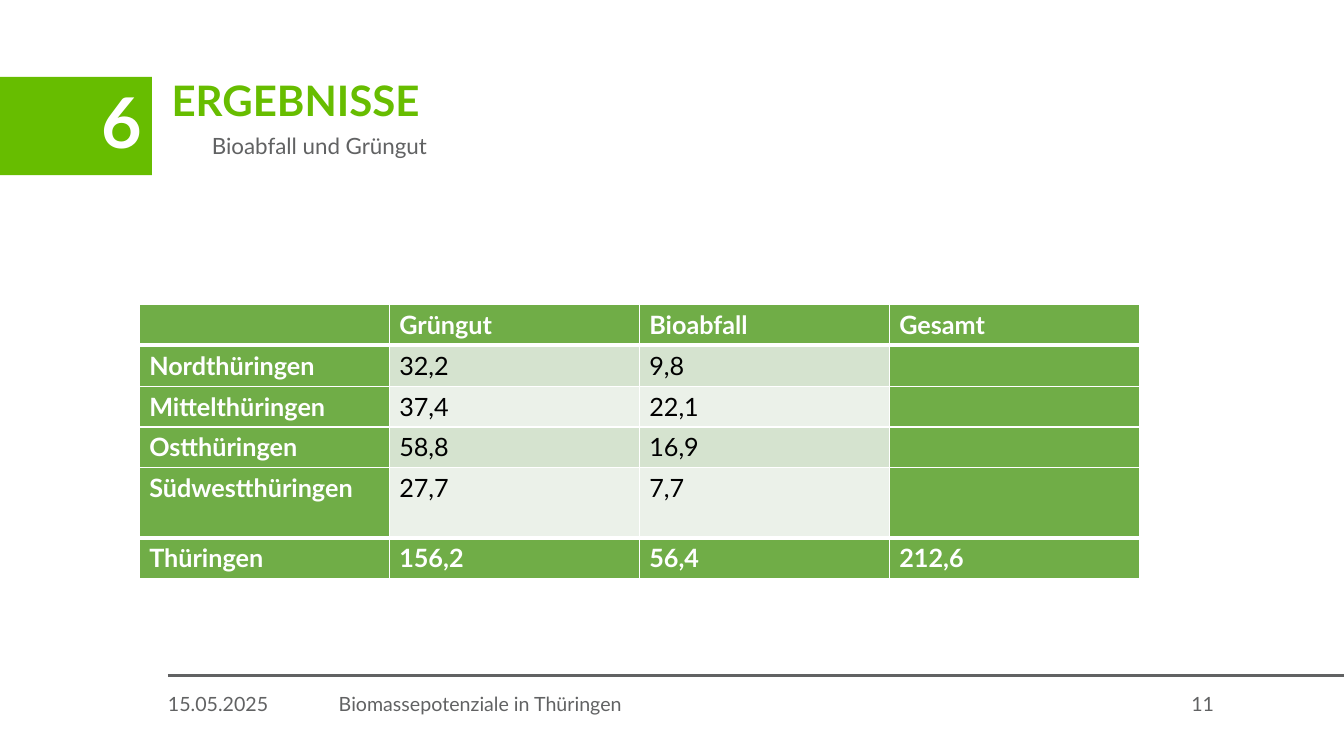
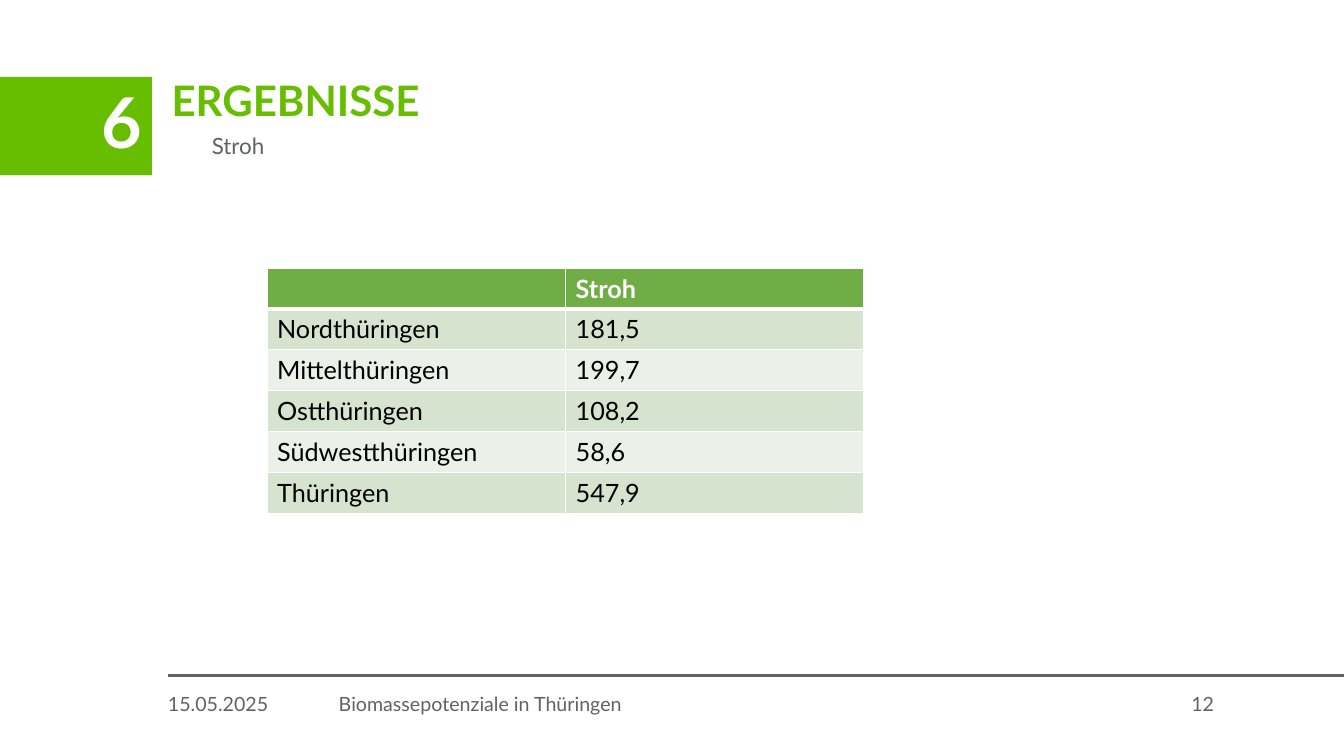
from dataclasses import dataclass

from lxml.etree import SubElement
from pptx import Presentation
from pptx.dml.color import RGBColor
from pptx.enum.shapes import MSO_CONNECTOR, MSO_SHAPE
from pptx.enum.text import MSO_ANCHOR, MSO_AUTO_SIZE, PP_ALIGN
from pptx.oxml.ns import qn
from pptx.slide import Slide
from pptx.table import _Cell
from pptx.text.text import TextFrame
from pptx.util import Pt


@dataclass(frozen=True)
class TextStyle:
    size: float
    color: str
    bold: bool = False


@dataclass(frozen=True)
class Theme:
    font: str = "Lato"
    accent: str = "67BD00"
    gray: str = "616263"
    white: str = "FFFFFF"
    table_green: str = "70AD47"
    bands: tuple[str, str] = ("D5E3CF", "EBF1E9")
    number: TextStyle = TextStyle(50, "FFFFFF", True)
    title: TextStyle = TextStyle(30, "67BD00", True)
    subtitle: TextStyle = TextStyle(16, "616263")
    footer: TextStyle = TextStyle(14, "616263")
    table_head: TextStyle = TextStyle(18, "FFFFFF", True)
    table_body: TextStyle = TextStyle(18, "000000")


@dataclass(frozen=True)
class Box:
    left: float
    top: float
    width: float
    height: float


@dataclass(frozen=True)
class TableSpec:
    left: float
    top: float
    column_width: float
    rows: list[list[str]]
    row_heights: list[float]
    first_column: bool = False
    last_column: bool = False
    total_row: bool = False


@dataclass(frozen=True)
class ResultPage:
    subtitle: str
    number: int
    table: TableSpec


THEME = Theme()
SLIDE_WIDTH, SLIDE_HEIGHT = 960, 540
CHAPTER, TITLE = "6", "ERGEBNISSE"
DATE, FOOTER = "15.05.2025", "Biomassepotenziale in Thüringen"

# Shared places
NUMBER_BOX = Box(0, 54.9, 108.6, 70.3)
TITLE_BOX = Box(122.6, 57.6, 717.6, 38.2)
SUBTITLE_BOX = Box(151.4, 96.3, 689, 29.5)
FOOTER_LEFT, FOOTER_TOP, FOOTER_HEIGHT = 120, 493.9, 28.8
RULE_TOP = 482.4
ROW_HEIGHT = 29.2
THIN, THICK = 1, 3

PAGES = [
    ResultPage("Bioabfall und Grüngut", 11, TableSpec(
        99.4, 217.4, 178.6,
        [
            ["", "Grüngut", "Bioabfall", "Gesamt"],
            ["Nordthüringen", "32,2", "9,8", ""],
            ["Mittelthüringen", "37,4", "22,1", ""],
            ["Ostthüringen", "58,8", "16,9", ""],
            ["Südwestthüringen", "27,7", "7,7", ""],
            ["Thüringen", "156,2", "56,4", "212,6"],
        ],
        [ROW_HEIGHT] * 4 + [50, ROW_HEIGHT],
        first_column=True, last_column=True, total_row=True,
    )),
    ResultPage("Stroh", 12, TableSpec(
        190.8, 191.5, 213.2,
        [
            ["", "Stroh"],
            ["Nordthüringen", "181,5"],
            ["Mittelthüringen", "199,7"],
            ["Ostthüringen", "108,2"],
            ["Südwestthüringen", "58,6"],
            ["Thüringen", "547,9"],
        ],
        [ROW_HEIGHT] * 6,
    )),
]


def place(box: Box) -> tuple[Pt, Pt, Pt, Pt]:
    return Pt(box.left), Pt(box.top), Pt(box.width), Pt(box.height)


def write(frame: TextFrame, text: str, style: TextStyle, line_spacing: float = 1.0,
          align: PP_ALIGN = PP_ALIGN.LEFT) -> None:
    para = frame.paragraphs[0]
    para_format = {"alignment": align, "line_spacing": line_spacing, "space_before": Pt(0)}
    for name, value in para_format.items():
        setattr(para, name, value)
    span = para.add_run()
    span.text = text
    span_format = {"name": THEME.font, "size": Pt(style.size), "bold": style.bold}
    for name, value in span_format.items():
        setattr(span.font, name, value)
    span.font.color.rgb = RGBColor.from_string(style.color)


def clear_frame(frame: TextFrame) -> None:
    frame_format = {
        "margin_left": 0, "margin_top": 0, "margin_right": 0, "margin_bottom": 0,
        "word_wrap": True, "auto_size": MSO_AUTO_SIZE.NONE, "vertical_anchor": MSO_ANCHOR.TOP,
    }
    for name, value in frame_format.items():
        setattr(frame, name, value)


def add_text(page: Slide, box: Box, text: str, style: TextStyle,
             line_spacing: float = 1.0) -> None:
    frame = page.shapes.add_textbox(*place(box)).text_frame
    clear_frame(frame)
    write(frame, text, style, line_spacing)


def add_header(page: Slide, subtitle: str) -> None:
    # Chapter number
    block = page.shapes.add_shape(MSO_SHAPE.RECTANGLE, *place(NUMBER_BOX))
    block.shadow.inherit = False
    block.fill.solid()
    block.fill.fore_color.rgb = RGBColor.from_string(THEME.accent)
    block.line.fill.background()
    block.text_frame.vertical_anchor = MSO_ANCHOR.MIDDLE
    write(block.text_frame, CHAPTER, THEME.number, 0.9, PP_ALIGN.RIGHT)

    # Title and subtitle
    title = page.shapes.title
    title.left, title.top, title.width, title.height = place(TITLE_BOX)
    clear_frame(title.text_frame)
    write(title.text_frame, TITLE, THEME.title, 0.9)
    add_text(page, SUBTITLE_BOX, subtitle, THEME.subtitle, 0.9)


def add_footer(page: Slide, number: int) -> None:
    rule = page.shapes.add_connector(
        MSO_CONNECTOR.STRAIGHT, Pt(FOOTER_LEFT), Pt(RULE_TOP), Pt(SLIDE_WIDTH), Pt(RULE_TOP))
    rule.line.width = Pt(2)
    rule.line.color.rgb = RGBColor.from_string(THEME.gray)
    SubElement(rule.element.spPr, qn("a:effectLst"))

    for left, width, text in [
        (FOOTER_LEFT, 110, DATE), (242, 324, FOOTER), (851, 82, str(number)),
    ]:
        add_text(page, Box(left, FOOTER_TOP, width, FOOTER_HEIGHT), text, THEME.footer)


def set_borders(cell: _Cell, top: float, bottom: float) -> None:
    properties = cell._tc.get_or_add_tcPr()
    for side, width in {"L": THIN, "R": THIN, "T": top, "B": bottom}.items():
        line = SubElement(properties, qn(f"a:ln{side}"), w=str(Pt(width)))
        fill = SubElement(line, qn("a:solidFill"))
        SubElement(fill, qn("a:srgbClr"), val=THEME.white)


def add_result_table(page: Slide, spec: TableSpec) -> None:
    row_count, column_count = len(spec.rows), len(spec.rows[0])
    box = Box(spec.left, spec.top, spec.column_width * column_count, sum(spec.row_heights))
    table = page.shapes.add_table(row_count, column_count, *place(box)).table
    table_format = {
        "first_row": True, "horz_banding": False, "first_col": spec.first_column,
        "last_col": spec.last_column, "last_row": spec.total_row,
    }
    for name, value in table_format.items():
        setattr(table, name, value)
    for column in table.columns:
        column.width = Pt(spec.column_width)

    # Thick edges lie below the head and above a total row
    last_row = row_count - 1
    edges = [THIN] * (row_count + 1)
    edges[1] = THICK
    if spec.total_row:
        edges[last_row] = THICK

    for r, values in enumerate(spec.rows):
        table.rows[r].height = Pt(spec.row_heights[r])
        for c, value in enumerate(values):
            strong = (r == 0 or spec.total_row and r == last_row
                      or spec.first_column and c == 0
                      or spec.last_column and c == column_count - 1)
            cell = table.cell(r, c)
            set_borders(cell, edges[r], edges[r + 1])
            color = THEME.table_green if strong else THEME.bands[(r - 1) % 2]
            cell.fill.solid()
            cell.fill.fore_color.rgb = RGBColor.from_string(color)
            if value:
                style = THEME.table_head if strong else THEME.table_body
                write(cell.text_frame, value, style)


def main() -> None:
    deck = Presentation()
    deck.slide_width, deck.slide_height = Pt(SLIDE_WIDTH), Pt(SLIDE_HEIGHT)
    title_only = deck.slide_layouts.get_by_name("Title Only")
    for result in PAGES:
        page = deck.slides.add_slide(title_only)
        add_header(page, result.subtitle)
        add_footer(page, result.number)
        add_result_table(page, result.table)
    deck.save("out.pptx")


if __name__ == "__main__":
    main()
